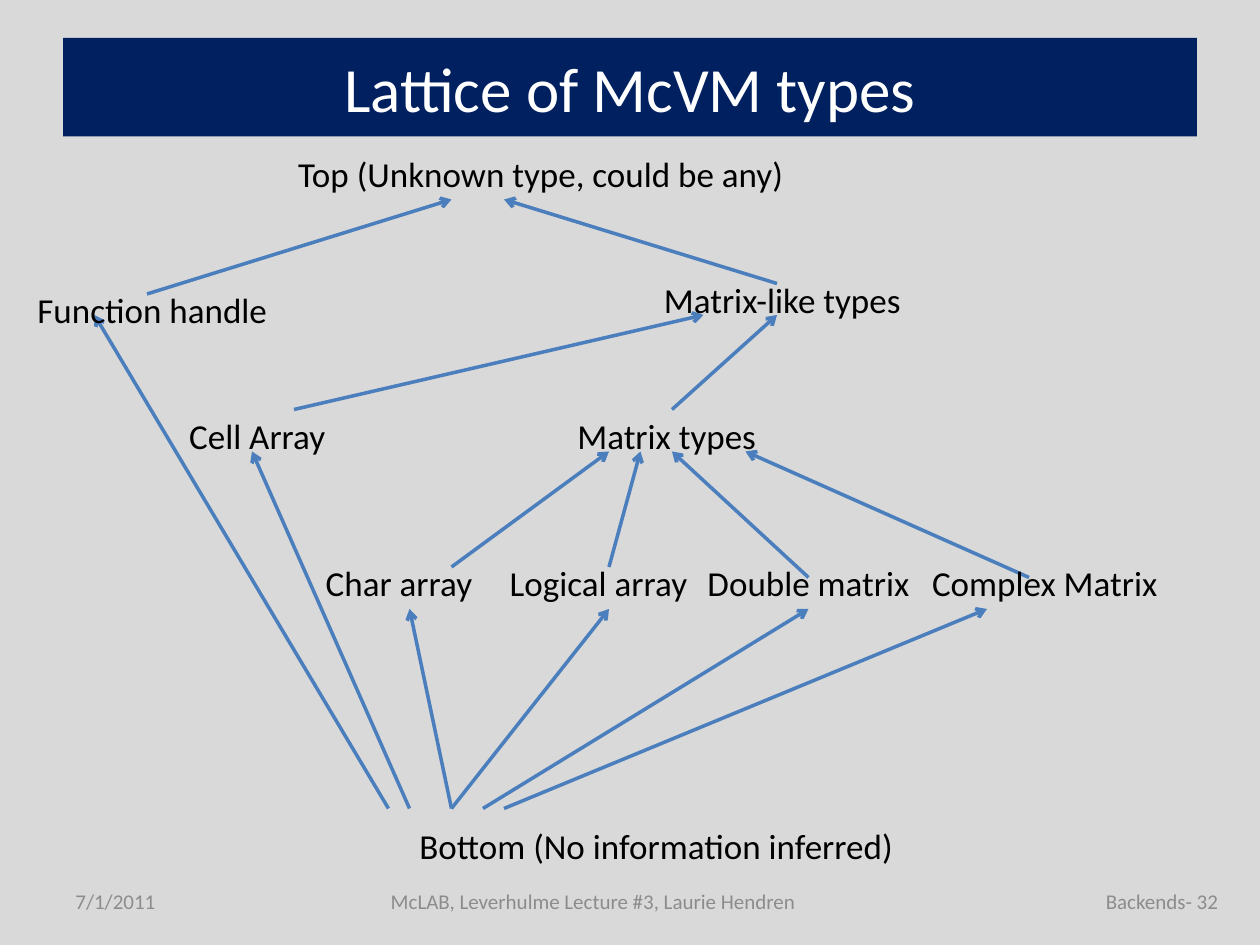
"""Build a slide showing the lattice of McVM types."""
from lxml.etree import SubElement
from pptx import Presentation
from pptx.dml.color import RGBColor
from pptx.enum.shapes import MSO_CONNECTOR
from pptx.enum.text import MSO_ANCHOR, PP_ALIGN
from pptx.oxml.ns import qn
from pptx.util import Pt

EMU_PER_PX = 7620
COLORS = {
    "background": "D9D9D9",
    "banner": "002060",
    "title": "FFFFFF",
    "label": "000000",
    "footer": "8C8C8C",
    "arrow": "4B7EBC",
}
FONTS = {
    "title": {"name": "Calibri", "size": Pt(36), "bold": False},
    "label": {"name": "Calibri", "size": Pt(20)},
    "footer": {"name": "Calibri", "size": Pt(12)},
}
FRAME = {"word_wrap": True, "vertical_anchor": MSO_ANCHOR.MIDDLE}
LABEL_HEIGHT = 50
FOOTER_TOP, FOOTER_HEIGHT = 834, 48
BOTTOM_TOP = 770

LABELS = [
    ("Function handle", 10, 270, 270),
    ("Bottom (No information inferred)", 330, 780, 590),
    ("Matrix-like types", 550, 260, 390),
    ("Top (Unknown type, could be any)", 260, 140, 510),
    ("Cell Array", 110, 390, 270),
    ("Matrix types", 500, 390, 270),
    ("Char array", 270, 530, 220),
    ("Logical array", 460, 530, 220),
    ("Complex Matrix", 850, 530, 290),
    ("Double matrix", 660, 530, 220),
]
FOOTERS = [
    ("7/1/2011", 60, 140, PP_ALIGN.LEFT),
    ("McLAB, Leverhulme Lecture #3, Laurie Hendren", 240, 650, PP_ALIGN.CENTER),
    ("Backends- 32", 1040, 132, PP_ALIGN.RIGHT),
]
ARROWS = [
    (370, BOTTOM_TOP, 90, 300),
    (390, BOTTOM_TOP, 240, 430),
    (140, 280, 430, 190),
    (740, 270, 480, 190),
    (280, 390, 670, 300),
    (640, 390, 740, 300),
    (430, 540, 580, 430),
    (580, 540, 610, 430),
    (770, 550, 640, 430),
    (980, 550, 710, 430),
    (430, BOTTOM_TOP, 390, 580),
    (430, BOTTOM_TOP, 580, 580),
    (480, BOTTOM_TOP, 940, 580),
]
DOUBLE_MATRIX_ARROW = (460, BOTTOM_TOP, 770, 580)


def px(*lengths):
    return [length * EMU_PER_PX for length in lengths]


def color(name):
    return RGBColor.from_string(COLORS[name])


def apply_format(target, values):
    for name, value in values.items():
        setattr(target, name, value)


class LatticeSlide:
    def __init__(self, presentation):
        self.slide = presentation.slides.add_slide(presentation.slide_layouts[5])
        self.shapes = self.slide.shapes
        fill = self.slide.background.fill
        fill.solid()
        fill.fore_color.rgb = color("background")

    def set_text(self, shape, text, style, alignment):
        apply_format(shape.text_frame, FRAME)
        paragraph = shape.text_frame.paragraphs[0]
        paragraph.alignment = alignment
        run = paragraph.add_run()
        run.text = text
        apply_format(run.font, FONTS[style])
        run.font.color.rgb = color(style)

    def title(self, text, *box):
        shape = self.shapes.title
        apply_format(shape, dict(zip(("left", "top", "width", "height"), px(*box))))
        shape.fill.solid()
        shape.fill.fore_color.rgb = color("banner")
        self.set_text(shape, text, "title", PP_ALIGN.CENTER)

    def text(self, text, box, style, alignment=PP_ALIGN.CENTER):
        shape = self.shapes.add_textbox(*px(*box))
        self.set_text(shape, text, style, alignment)
        return shape

    def arrow(self, *ends):
        connector = self.shapes.add_connector(MSO_CONNECTOR.STRAIGHT, *px(*ends))
        connector.line.width = Pt(2)
        connector.line.color.rgb = color("arrow")
        properties = connector._element.spPr
        SubElement(properties.find(qn("a:ln")), qn("a:tailEnd"), type="arrow")
        SubElement(properties, qn("a:effectLst"))
        return connector


def main():
    presentation = Presentation()
    presentation.slide_width, presentation.slide_height = px(1200, 900)
    lattice = LatticeSlide(presentation)
    lattice.title("Lattice of McVM types", 60, 36, 1080, 94)
    for text, left, width, alignment in FOOTERS:
        box = (left, FOOTER_TOP, width, FOOTER_HEIGHT)
        lattice.text(text, box, "footer", alignment)
    for ends in ARROWS:
        lattice.arrow(*ends)
    double_arrow = lattice.arrow(*DOUBLE_MATRIX_ARROW)
    labels = {
        text: lattice.text(text, (left, top, width, LABEL_HEIGHT), "label")
        for text, left, top, width in LABELS
    }
    double_arrow.end_connect(labels["Double matrix"], 2)
    presentation.save("out.pptx")


if __name__ == "__main__":
    main()
